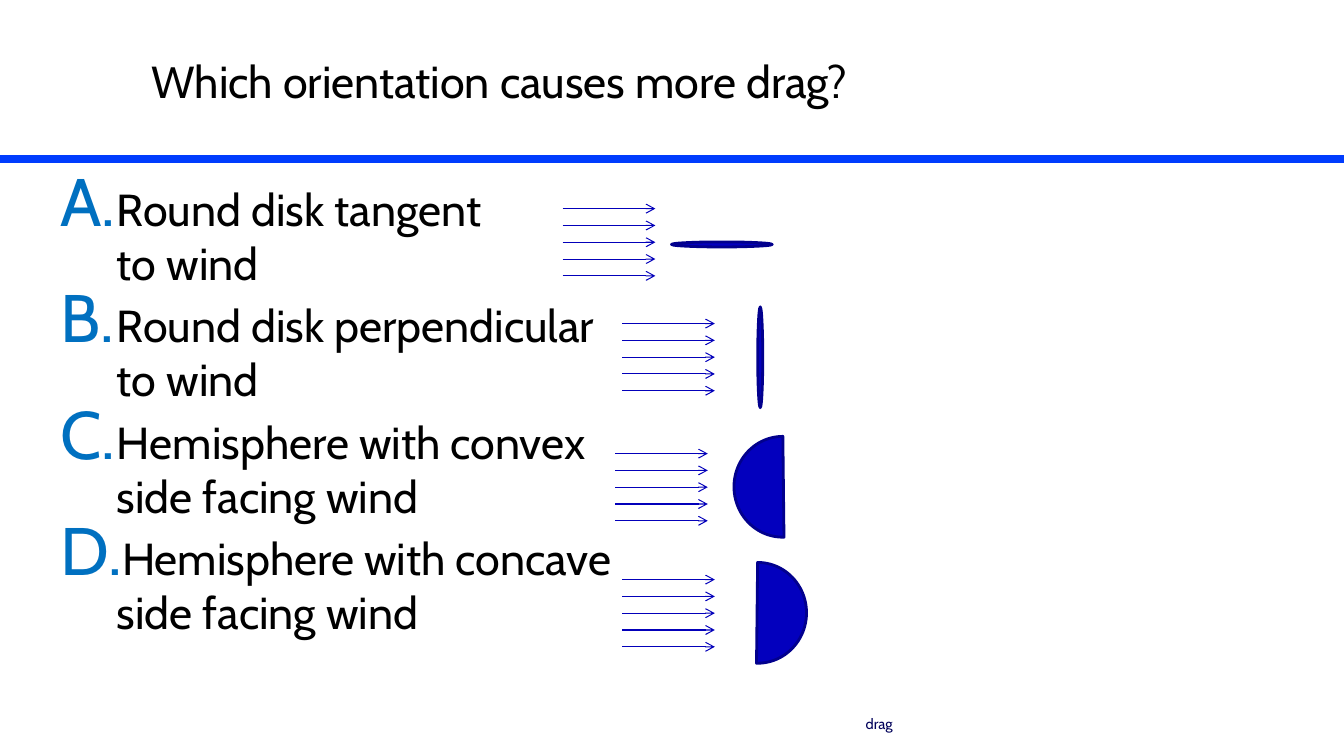
import dataclasses

import lxml.etree
import pptx
import pptx.dml.color
import pptx.enum.shapes
import pptx.enum.text
import pptx.oxml.ns
import pptx.util

Inches = pptx.util.Inches
MSO_SHAPE = pptx.enum.shapes.MSO_SHAPE
STRAIGHT = pptx.enum.shapes.MSO_CONNECTOR.STRAIGHT


@dataclasses.dataclass(frozen=True)
class Theme:
    """Colours, font and type sizes of the slide."""
    font: str = "Cabin"
    ink: str = "000000"
    label: str = "00005A"
    bullet: str = "0070C0"
    rule: str = "003CFE"
    arrow: str = "0300BA"
    body_fill: str = "0300BE"
    body_line: str = "02008D"
    text_size: float = 32
    label_size: float = 10.5


THEME = Theme()
ANSWERS = [
    ("Round disk tangent", "to wind"),
    ("Round disk perpendicular", "to wind"),
    ("Hemisphere with convex", "side facing wind"),
    ("Hemisphere with concave", "side facing wind"),
]
DISK, HALF = (1, 0.05), (0.97, 1)
WIND_TESTS = [
    ((5.58, 2.07), MSO_SHAPE.OVAL, (6.66, 2.4), DISK, 0, ()),
    ((6.17, 3.21), MSO_SHAPE.OVAL, (7.04, 3.52), DISK, 90, ()),
    ((6.1, 4.5), MSO_SHAPE.CHORD, (7.28, 4.33), HALF, 0, (53.24, 162)),
    ((6.17, 5.75), MSO_SHAPE.CHORD, (7.03, 5.58), HALF, 0, (162, 54.76)),
]
ARROW_COUNT, ARROW_LENGTH, ARROW_GAP = 5, 0.92, 1 / 6


def rgb(value):
    """Return a colour object for a hex value."""
    return pptx.dml.color.RGBColor.from_string(value)


def add_xml(parent, tag, **attributes):
    """Append a DrawingML element."""
    name = pptx.oxml.ns.qn(tag)
    return lxml.etree.SubElement(parent, name, **attributes)


def place(sp, left, top, width, height, anchor):
    """Position a placeholder and return its text frame."""
    sp.left, sp.top = Inches(left), Inches(top)
    sp.width, sp.height = Inches(width), Inches(height)
    tf = sp.text_frame
    tf.word_wrap = True
    tf.auto_size = pptx.enum.text.MSO_AUTO_SIZE.NONE
    tf.vertical_anchor = anchor
    return tf


def add_run(p, text, size, color):
    """Add a formatted run."""
    r = p.add_run()
    r.text = text
    r.font.name = THEME.font
    r.font.size = pptx.util.Pt(size)
    r.font.color.rgb = rgb(color)


def add_centred(sp, box, text, size, color):
    """Fill a placeholder with one centred line without a bullet."""
    tf = place(sp, *box, pptx.enum.text.MSO_ANCHOR.MIDDLE)
    p = tf.paragraphs[0]
    pPr = p._p.get_or_add_pPr()
    pPr.set("marL", "0")
    pPr.set("indent", "0")
    add_xml(pPr, "a:buNone")
    p.alignment = pptx.enum.text.PP_ALIGN.CENTER
    p.space_before = pptx.util.Pt(0)
    add_run(p, text, size, color)


def add_answers(sp, box):
    """Fill a placeholder with the lettered answers."""
    tf = place(sp, *box, pptx.enum.text.MSO_ANCHOR.TOP)
    for i, (first, second) in enumerate(ANSWERS):
        p = tf.add_paragraph() if i else tf.paragraphs[0]
        pPr = p._p.get_or_add_pPr()
        pPr.set("marL", str(Inches(0.56)))
        pPr.set("indent", str(Inches(-0.56)))
        add_xml(add_xml(pPr, "a:buClr"), "a:srgbClr", val=THEME.bullet)
        add_xml(pPr, "a:buSzPct", val="150000")
        add_xml(pPr, "a:buFont", typeface=THEME.font)
        add_xml(pPr, "a:buAutoNum", type="alphaUcPeriod")
        p.space_before = pptx.util.Pt(0.2 * THEME.text_size if i else 0)
        add_run(p, first, THEME.text_size, THEME.ink)
        p.add_line_break()
        add_run(p, second, THEME.text_size, THEME.ink)


def add_line(shapes, x, y, length, color, width):
    """Draw a horizontal line and return it."""
    cn = shapes.add_connector(
        STRAIGHT, Inches(x), Inches(y), Inches(x + length), Inches(y))
    cn.line.color.rgb = rgb(color)
    cn.line.width = pptx.util.Pt(width)
    add_xml(cn._element.spPr, "a:effectLst")
    return cn


def add_wind_test(s, wind, kind, corner, size, rotation, angles):
    """Group the wind arrows with the body they meet."""
    shapes = s.shapes.add_group_shape().shapes
    x, y = wind
    for i in range(ARROW_COUNT):
        cn = add_line(shapes, x, y + i * ARROW_GAP, ARROW_LENGTH,
                      THEME.arrow, 0.75)
        add_xml(cn.line._get_or_add_ln(), "a:tailEnd", type="arrow")
    sp = shapes.add_shape(kind, *map(Inches, corner + size))
    sp.shadow.inherit = False
    sp.rotation = rotation
    for i, angle in enumerate(angles):
        sp.adjustments[i] = angle
    sp.fill.solid()
    sp.fill.fore_color.rgb = rgb(THEME.body_fill)
    sp.line.color.rgb = rgb(THEME.body_line)
    sp.line.width = pptx.util.Pt(2)


def main():
    """Build and save the slide."""
    prs = pptx.Presentation()
    prs.slide_width, prs.slide_height = Inches(13.33), Inches(7.5)
    s = prs.slides.add_slide(prs.slide_layouts[3])
    label, answers, question = s.placeholders
    add_line(s.shapes, 0, 1.58, 13.33, THEME.rule, 6)
    add_centred(label, (7.47, 6.89, 2.5, 0.58), "drag",
                THEME.label_size, THEME.label)
    add_answers(answers, (0.5, 1.75, 12.36, 4.95))
    add_centred(question, (0.58, 0.17, 8.75, 1.25),
                "Which orientation causes more drag?",
                THEME.text_size, THEME.ink)
    for wind_test in WIND_TESTS:
        add_wind_test(s, *wind_test)
    prs.save("out.pptx")


if __name__ == "__main__":
    main()
